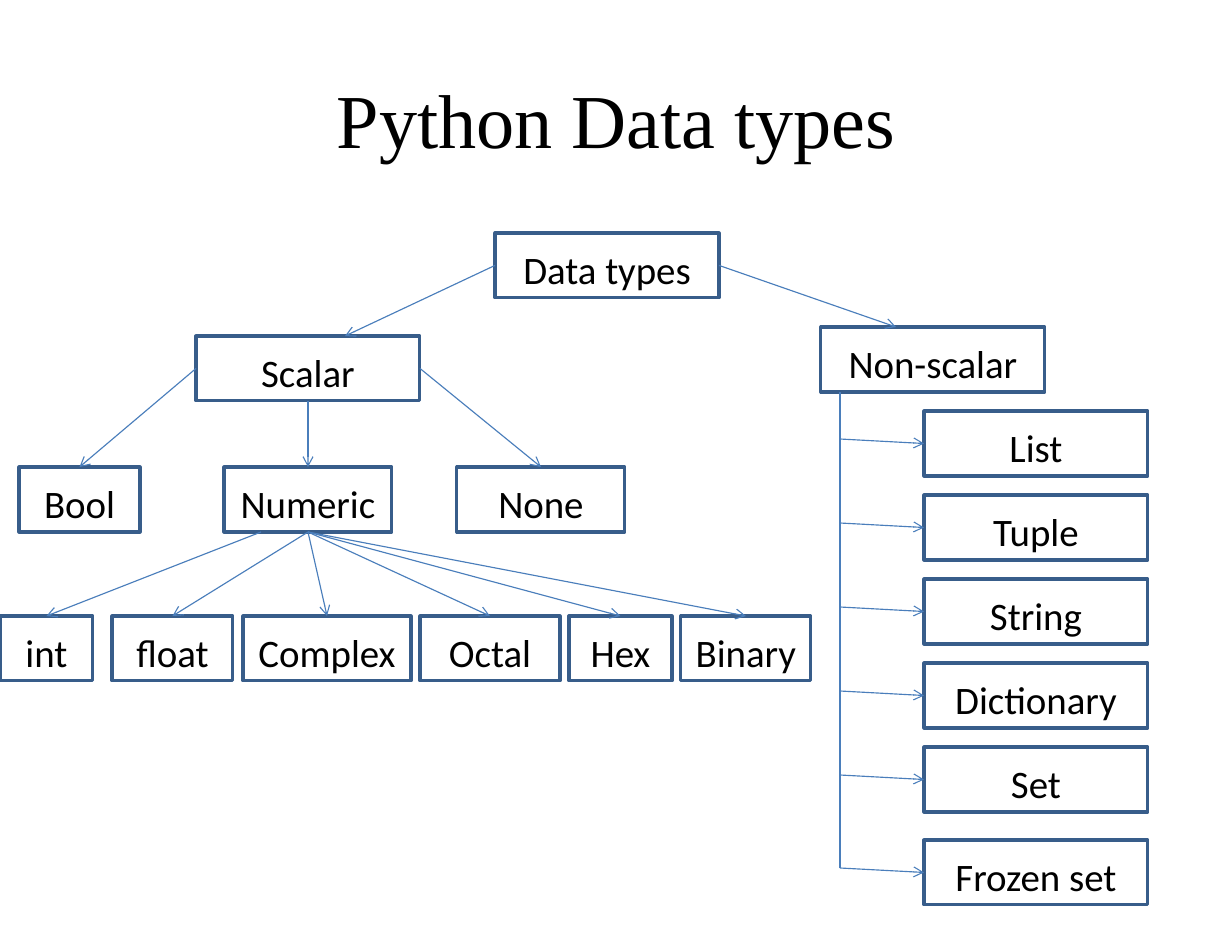
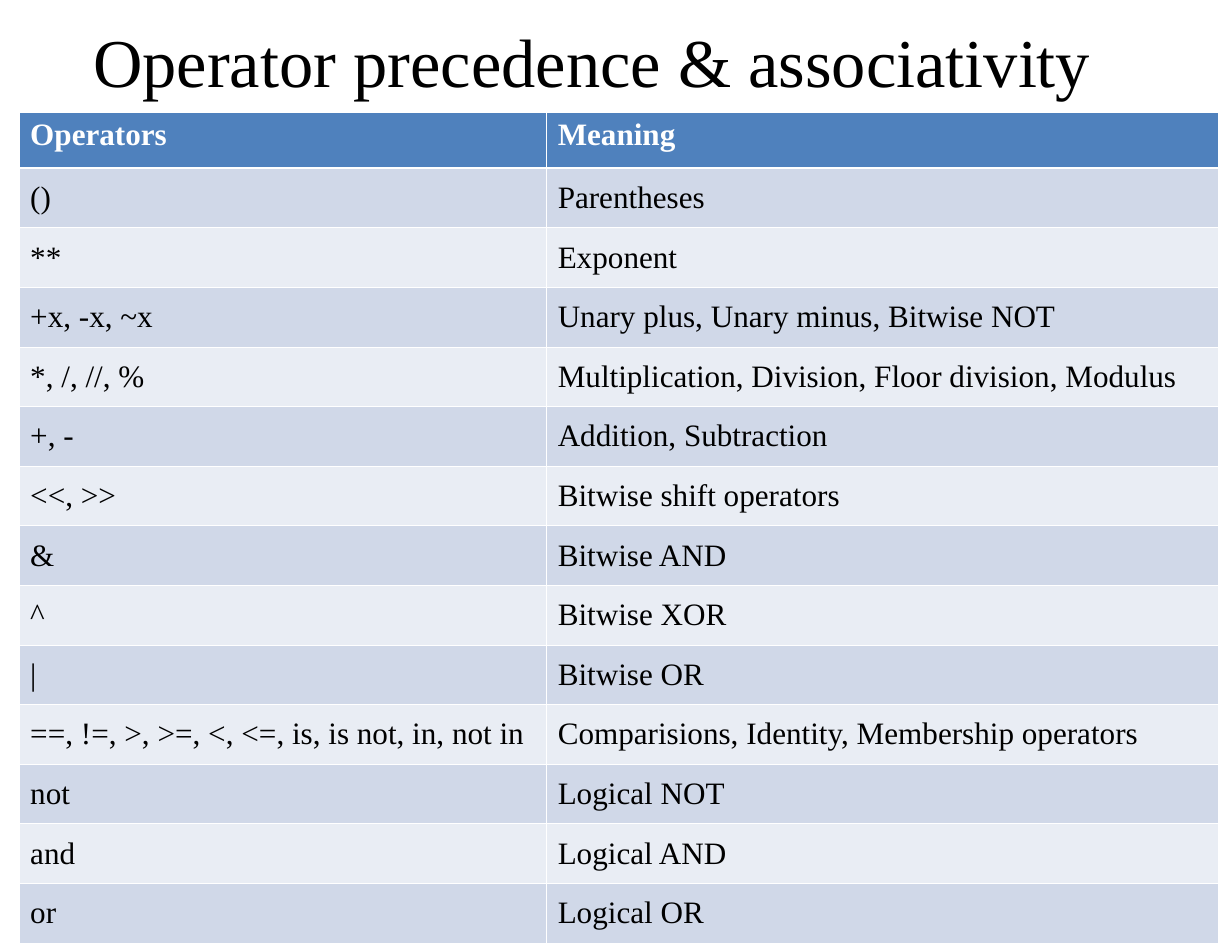
import pptx
import pptx.util
import pptx.dml.color
import pptx.enum.shapes
import pptx.enum.text
import pptx.oxml.ns
import lxml.etree

Inches = pptx.util.Inches
Pt = pptx.util.Pt
ALIGN = pptx.enum.text.PP_ALIGN
ANCHOR = pptx.enum.text.MSO_ANCHOR

COLOURS = {
    "text": "000000",
    "white": "FFFFFF",
    "box_line": "385D8A",
    "arrow": "4A7EBB",
    "header": "4F81BD",
    "band_dark": "D0D8E8",
    "band_light": "E9EDF4",
}
SERIF = "Times New Roman"
SANS = "Calibri"
TOP, LEFT, BOTTOM, RIGHT = range(4)
NODE_HEIGHT = 0.58

SCALAR_KINDS = [("Bool", -1.58, 1.08), ("Numeric", 0.25, 1.5), ("None", 2.33, 1.5)]
NUMERIC_KINDS = [
    ("int", -2, 0.83),
    ("float", -1, 1.08),
    ("Complex", 0.17, 1.5),
    ("Octal", 1.75, 1.25),
    ("Hex", 3.08, 0.92),
    ("Binary", 4.08, 1.16),
]
COLLECTIONS = ["List", "Tuple", "String", "Dictionary", "Set", "Frozen set"]
OPERATORS = [
    ("Operators", "Meaning"),
    ("()", "Parentheses"),
    ("**", "Exponent"),
    ("+x, -x, ~x", "Unary plus, Unary minus, Bitwise NOT"),
    ("*, /, //, %", "Multiplication, Division, Floor division, Modulus"),
    ("+, -", "Addition, Subtraction"),
    ("<<, >>", "Bitwise shift operators"),
    ("&", "Bitwise AND"),
    ("^", "Bitwise XOR"),
    ("|", "Bitwise OR"),
    ("==, !=, >, >=, <, <=, is, is not, in, not in",
     "Comparisions, Identity, Membership operators"),
    ("not", "Logical NOT"),
    ("and", "Logical AND"),
    ("or", "Logical OR"),
]


def colour(name):
    return pptx.dml.color.RGBColor.from_string(COLOURS[name])


def add_span(para, text, size, font, ink="text", bold=False):
    span = para.add_run()
    span.text = text
    span.font.size = Pt(size)
    span.font.name = font
    span.font.bold = bold
    span.font.color.rgb = colour(ink)


def add_page(deck, title, size, left, top, width, height):
    page = deck.slides.add_slide(deck.slide_layouts[5])
    box = page.shapes.title
    box.left, box.top = Inches(left), Inches(top)
    box.width, box.height = Inches(width), Inches(height)
    frame = box.text_frame
    frame.word_wrap = True
    frame.auto_size = pptx.enum.text.MSO_AUTO_SIZE.NONE
    frame.vertical_anchor = ANCHOR.MIDDLE
    frame.margin_left = frame.margin_right = Inches(0.11)
    frame.margin_top = frame.margin_bottom = Inches(0.06)
    para = frame.paragraphs[0]
    para.alignment = ALIGN.CENTER
    add_span(para, title, size, SERIF)
    return page


def add_node(page, text, left, top, width=2):
    node = page.shapes.add_shape(
        pptx.enum.shapes.MSO_SHAPE.RECTANGLE,
        Inches(left), Inches(top), Inches(width), Inches(NODE_HEIGHT))
    node.shadow.inherit = False
    node.fill.background()
    node.line.color.rgb = colour("box_line")
    node.line.width = Pt(2)
    frame = node.text_frame
    frame.word_wrap = True
    frame.vertical_anchor = ANCHOR.MIDDLE
    para = frame.paragraphs[0]
    para.alignment = ALIGN.CENTER
    para.line_spacing = 1.16
    add_span(para, text, 25, SANS)
    return node


def add_link(page, start, end, arrow=True):
    """Each end is either a (node, side) pair or a point in inches."""
    link = page.shapes.add_connector(
        pptx.enum.shapes.MSO_CONNECTOR.STRAIGHT, 0, 0, 0, 0)
    if isinstance(start[0], (int, float)):
        link.begin_x, link.begin_y = Inches(start[0]), Inches(start[1])
    else:
        link.begin_connect(*start)
    if isinstance(end[0], (int, float)):
        link.end_x, link.end_y = Inches(end[0]), Inches(end[1])
    else:
        link.end_connect(*end)
    link.line.color.rgb = colour("arrow")
    link.line.width = Pt(0.75)
    qn = pptx.oxml.ns.qn
    properties = link._element.spPr
    if arrow:
        lxml.etree.SubElement(properties.find(qn("a:ln")), qn("a:tailEnd"), type="arrow")
    lxml.etree.SubElement(properties, qn("a:effectLst"))


def add_scalar_branch(page, root, left, top):
    scalar = add_node(page, "Scalar", left, top)
    add_link(page, (root, LEFT), (left + 1.33, top))
    kinds = {}
    for (text, offset, width), side in zip(SCALAR_KINDS, (LEFT, BOTTOM, RIGHT)):
        kinds[text] = add_node(page, text, left + offset, top + 1.17, width)
        add_link(page, (scalar, side), (kinds[text], TOP))
    add_numeric_branch(page, kinds["Numeric"], left + 0.25, top + 1.17)


def add_numeric_branch(page, numeric, left, top):
    for text, offset, width in NUMERIC_KINDS:
        kind = add_node(page, text, left + offset, top + 1.33, width)
        start = (left + 0.33, top + NODE_HEIGHT) if text == "int" else (numeric, BOTTOM)
        add_link(page, start, (kind, TOP))


def add_non_scalar_branch(page, root, left, top):
    add_node(page, "Non-scalar", left, top)
    add_link(page, (root, RIGHT), (left + 0.67, top))
    trunk = left + 0.17
    add_link(page, (trunk, top + NODE_HEIGHT), (trunk, top + 4.83), arrow=False)
    for index, text in enumerate(COLLECTIONS):
        extra_gap = 0.08 if text == "Frozen set" else 0
        leaf_top = top + 0.75 * (index + 1) + extra_gap
        leaf = add_node(page, text, left + 0.92, leaf_top)
        add_link(page, (trunk, leaf_top + 0.25), (leaf, LEFT))


def add_type_tree(page, left, top):
    root = add_node(page, "Data types", left + 4.42, top)
    add_scalar_branch(page, root, left + 1.75, top + 0.92)
    add_non_scalar_branch(page, root, left + 7.33, top + 0.84)


def set_borders(cell, widths):
    properties = cell._tc.get_or_add_tcPr()
    qn = pptx.oxml.ns.qn
    for side, width in zip("LRTB", widths):
        border = lxml.etree.SubElement(properties, qn("a:ln" + side), w=str(Pt(width)))
        fill = lxml.etree.SubElement(border, qn("a:solidFill"))
        lxml.etree.SubElement(fill, qn("a:srgbClr"), val=COLOURS["white"])


def add_operator_table(page, left, top, width, height):
    table = page.shapes.add_table(
        len(OPERATORS), 2,
        Inches(left), Inches(top), Inches(width), Inches(height)).table
    table.first_row = table.horz_banding = False
    table.columns[0].width = Inches(width - 6)
    table.columns[1].width = Inches(6)
    thin, thick = 0.45, 1.47
    for index, texts in enumerate(OPERATORS):
        header = index == 0
        row_height = 0.5 if header else (height - 0.5) / (len(OPERATORS) - 1)
        table.rows[index].height = Inches(row_height)
        band = "header" if header else ("band_light", "band_dark")[index % 2]
        for cell, text in zip(table.rows[index].cells, texts):
            above = thick if index == 1 else thin
            below = thick if header else thin
            set_borders(cell, (thin, thin, above, below))
            cell.fill.solid()
            cell.fill.fore_color.rgb = colour(band)
            cell.vertical_anchor = ANCHOR.TOP if header else ANCHOR.MIDDLE
            cell.margin_left = Inches(0.1)
            cell.margin_right = Inches(0.1 if header else 0.08)
            cell.margin_top = cell.margin_bottom = Inches(0.05)
            add_span(cell.text_frame.paragraphs[0], text, 20, SERIF,
                     "white" if header else "text", header)


def main():
    deck = pptx.Presentation()
    deck.slide_width, deck.slide_height = Inches(11), Inches(8.5)
    types_page = add_page(deck, "Python Data types", 49, 0.55, 0.34, 9.9, 1.42)
    add_type_tree(types_page, 0, 2.08)
    operators_page = add_page(
        deck, "Operator precedence & associativity", 44, 0.13, -0.17, 10.32, 1.42)
    add_operator_table(operators_page, 0.17, 1, 10.71, 7.42)
    deck.save("out.pptx")


if __name__ == "__main__":
    main()
